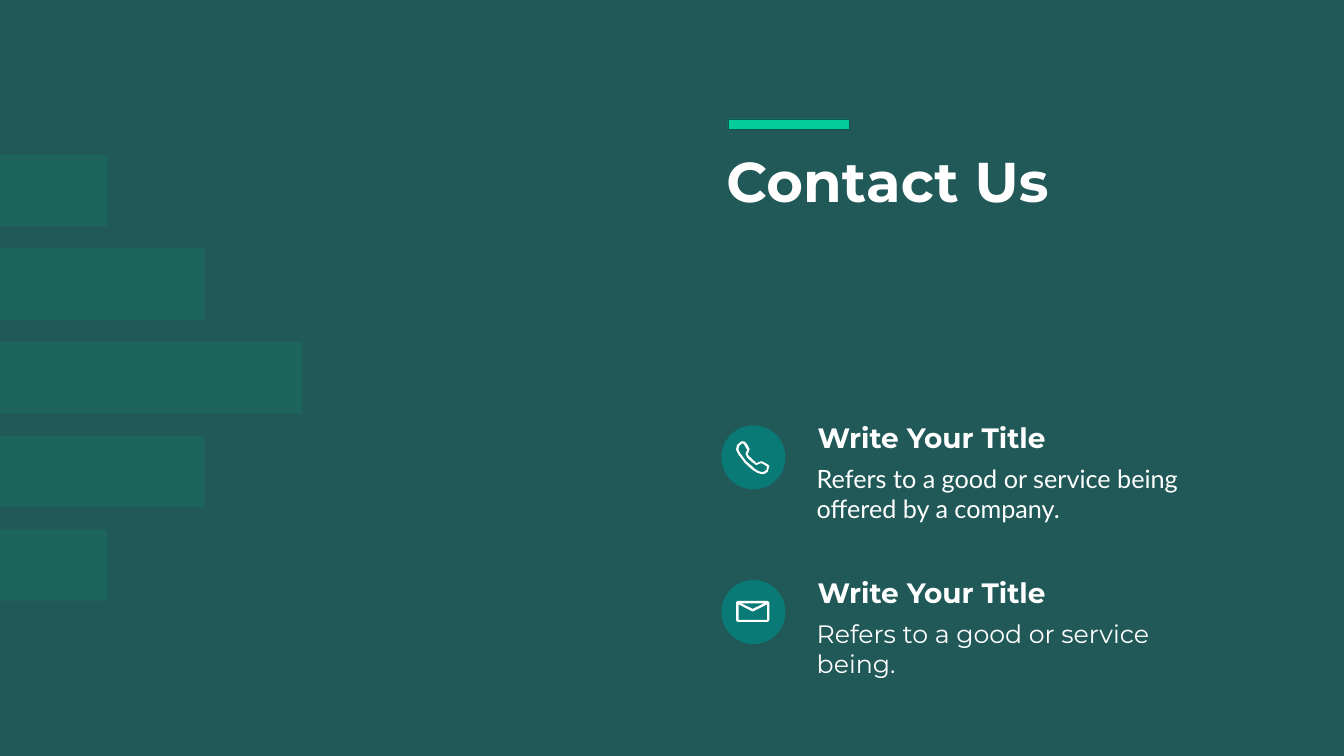
"""Build a contact slide with a bar motif, a heading and two contact entries."""
from lxml.etree import SubElement
from pptx import Presentation
from pptx.dml.color import RGBColor
from pptx.enum.shapes import MSO_SHAPE as SHAPE
from pptx.enum.text import MSO_ANCHOR as ANCHOR, PP_ALIGN as ALIGN
from pptx.oxml.ns import qn
from pptx.util import Inches, Pt

COLORS = {"base": "084745", "accent": "03CB99", "edge": "075A57",
          "badge": "097A76", "white": "FFFFFF"}
WIDTH, HEIGHT = 26.66, 15

PHONE = [
    [(81, 97), (71, 94), (63, 89), (59, 86), (46, 74), (38, 63), (34, 58),
     (29, 48), (31, 39), (39, 32), (45, 32), (47, 33), (52, 39), (56, 47),
     (54, 53), (52, 57), (54, 60), (60, 66), (70, 75), (74, 73), (80, 71),
     (88, 75), (94, 79), (95, 81), (92, 92), (86, 96)],
    [(43, 36), (40, 36), (35, 41), (34, 48), (37, 55), (41, 60), (49, 71),
     (62, 82), (66, 86), (74, 91), (82, 93), (89, 89), (91, 82), (85, 78),
     (79, 75), (76, 76), (69, 79), (61, 73), (51, 64), (48, 56), (50, 51),
     (51, 48), (44, 36)],
]
ENVELOPE = [
    [(32, 41), (92, 41), (95, 44), (95, 80), (92, 83), (32, 83), (29, 80), (29, 44)],
    [(34, 79), (34, 48), (61, 62), (63, 62), (91, 48), (91, 79)],
    [(62, 57), (39, 46), (85, 46)],
]
ENTRIES = [
    (8.3, PHONE, "Refers to a good or service being offered by a company.", "Lato", 1.45),
    (11.37, ENVELOPE, "Refers to a good or service being.", "Montserrat", 0.85),
]


def paint(shape, color, opacity=100):
    shape.shadow.inherit = False
    shape.fill.solid()
    shape.fill.fore_color.rgb = RGBColor.from_string(COLORS[color])
    shape.line.fill.background()
    if opacity < 100:
        tint = shape.fill._xPr.find(qn("a:solidFill"))[0]
        SubElement(tint, qn("a:alpha"), val=str(opacity * 1000))


def add_block(slide, kind, box, color, opacity=100):
    block = slide.shapes.add_shape(kind, *map(Inches, box))
    paint(block, color, opacity)
    return block


def write(holder, words, size, font, bold=False, inset=(0.1, 0.05)):
    frame = holder.text_frame
    frame.word_wrap = True
    frame.vertical_anchor = ANCHOR.TOP
    frame.margin_left = frame.margin_right = Inches(inset[0])
    frame.margin_top = frame.margin_bottom = Inches(inset[1])
    paragraph = frame.paragraphs[0]
    paragraph.alignment = ALIGN.LEFT
    run = paragraph.add_run()
    run.text = words
    run.font.size, run.font.name, run.font.bold = Pt(size), font, bold
    run.font.color.rgb = RGBColor.from_string(COLORS["white"])


def add_icon(slide, left, top, outlines):
    first, *holes = outlines
    pen = slide.shapes.build_freeform(*first[0], scale=Inches(0.01))
    pen.add_line_segments(first[1:], close=True)
    for hole in holes:
        pen.move_to(*hole[0])
        pen.add_line_segments(hole[1:], close=True)
    paint(pen.convert_to_shape(Inches(left), Inches(top)), "white")


def add_bars(slide, left, top):
    for row in range(5):
        shift = 1.93 * (2 - abs(row - 2))
        box = (left + shift, top + 1.86 * row, 6.42, 1.41)
        add_block(slide, SHAPE.RECTANGLE, box, "accent", 10)


def add_entry(slide, left, top, outlines, details, font, height):
    add_block(slide, SHAPE.OVAL, (left, top + 0.14, 1.27, 1.27), "badge")
    add_icon(slide, left, top + 0.14, outlines)
    label = slide.shapes.add_textbox(*map(Inches, (left + 1.81, top, 5.67, 0.77)))
    write(label, "Write Your Title", 40, "Montserrat", True)
    body = slide.shapes.add_textbox(*map(Inches, (left + 1.65, top + 0.77, 8.72, height)))
    write(body, details, 36, font, inset=(0.24, 0.12))


def add_heading(slide, left, top):
    rule = add_block(slide, SHAPE.RECTANGLE, (left + 0.13, top, 2.4, 0.2), "accent")
    rule.line.color.rgb = RGBColor.from_string(COLORS["edge"])
    rule.line.width = Pt(1)
    title = slide.shapes.title
    title.left, title.top, title.width, title.height = map(
        Inches, (left, top + 0.5, 7.19, 1.45))
    write(title, "Contact Us", 80, "Montserrat", True)
    slide.shapes.element.append(title.element)


def build_contact_slide(deck):
    slide = deck.slides.add_slide(deck.slide_layouts[5])
    add_block(slide, SHAPE.RECTANGLE, (0, 0, WIDTH, HEIGHT), "base", 90)
    add_bars(slide, -4.29, 3.07)
    for top, *content in ENTRIES:
        add_entry(slide, 14.31, top, *content)
    add_heading(slide, 14.31, 2.36)


deck = Presentation()
deck.slide_width, deck.slide_height = Inches(WIDTH), Inches(HEIGHT)
build_contact_slide(deck)
deck.save("out.pptx")
